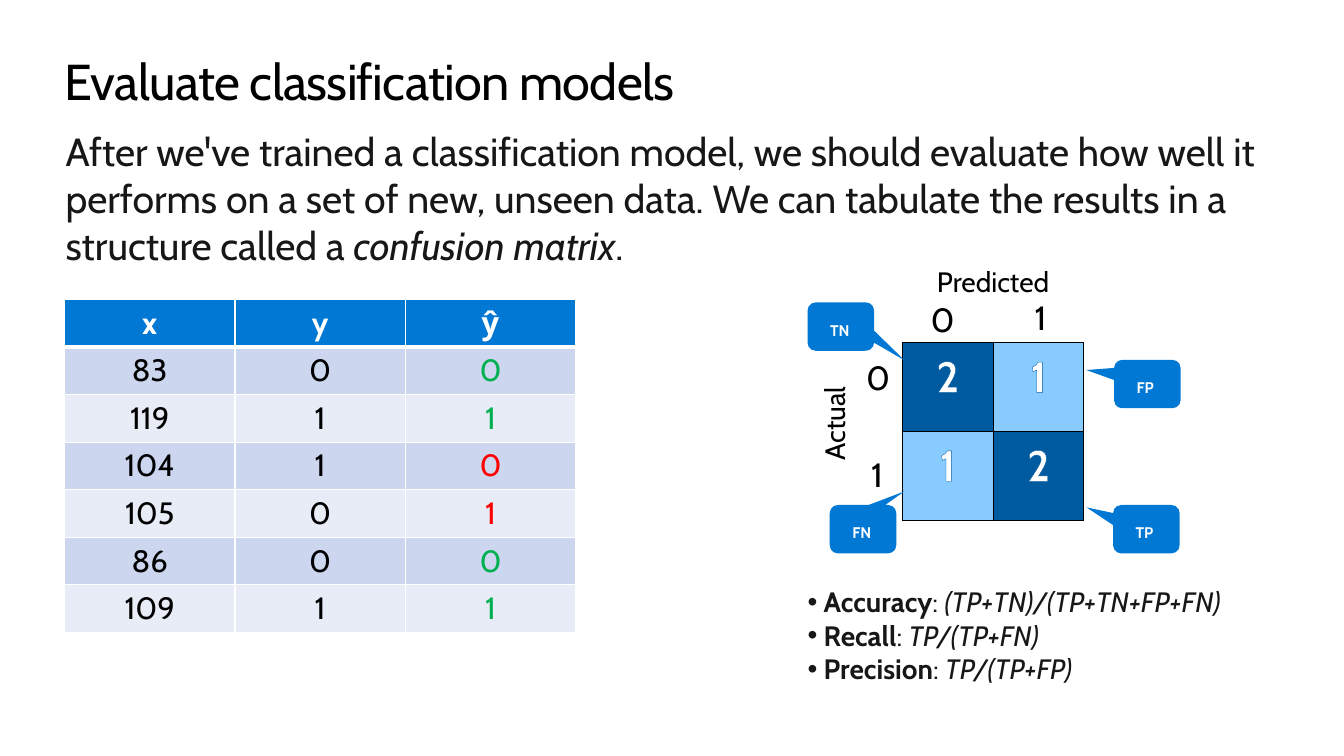
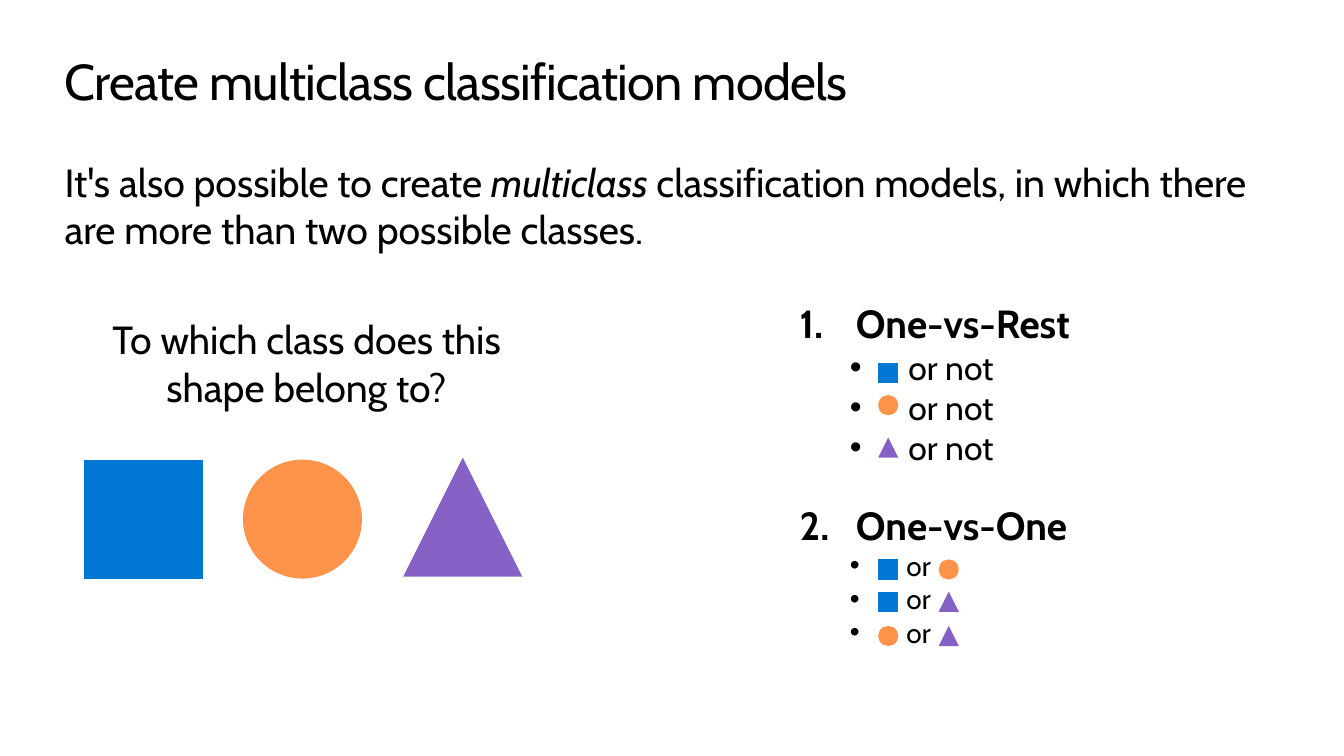
from lxml import etree
from pptx import Presentation
from pptx import util as u
from pptx.dml.color import RGBColor
from pptx.enum import shapes, text
from pptx.oxml import ns

FONT = "Cabin"
PX = 9144
COLORS = {
    "black": "000000", "ink": "171717", "white": "FFFFFF",
    "blue": "0078D4", "navy": "005A9F", "sky": "88CBFF",
    "orange": "FF9349", "purple": "8661C5",
    "right": "00B050", "wrong": "FF0000",
    "band_dark": "CCD6EF", "band_light": "E7ECF7",
}
SHAPE = shapes.MSO_SHAPE
CLASSES = {
    "square": (SHAPE.FLOWCHART_PROCESS, "blue"),
    "circle": (SHAPE.OVAL, "orange"),
    "triangle": (SHAPE.ISOSCELES_TRIANGLE, "purple"),
}
CENTER = text.PP_ALIGN.CENTER
LEFT = text.PP_ALIGN.LEFT


def px(value):
    return u.Emu(value * PX)


def rgb(name):
    return RGBColor.from_string(COLORS[name])


def child(parent, tag, **attributes):
    return etree.SubElement(parent, ns.qn(tag), attributes)


def line_color(line, color):
    child(child(line, "a:solidFill"), "a:srgbClr", val=COLORS[color])


def place(item, left, top, width, height):
    item.left, item.top = px(left), px(top)
    item.width, item.height = px(width), px(height)


def setup_frame(frame, inset_x=0, inset_y=0, anchor=text.MSO_ANCHOR.TOP):
    frame.word_wrap = True
    frame.auto_size = text.MSO_AUTO_SIZE.NONE
    frame.vertical_anchor = anchor
    frame.margin_left = frame.margin_right = px(inset_x)
    frame.margin_top = frame.margin_bottom = px(inset_y)


def add_run(paragraph, words, size, color="black", style=""):
    run = paragraph.add_run()
    run.text = words
    run.font.name, run.font.size = FONT, u.Pt(size)
    run.font.bold, run.font.italic = "b" in style, "i" in style
    run.font.color.rgb = rgb(color)
    return run


def format_paragraph(paragraph, align=LEFT, margin=0, hanging=0,
                     bullet=None, number=None, before=0):
    props = paragraph._p.get_or_add_pPr()
    props.set("marL", str(margin * PX))
    props.set("indent", str(-hanging * PX))
    if bullet:
        child(props, "a:buFont", typeface="Arial")
        child(props, "a:buChar", char=bullet)
    elif number:
        child(props, "a:buFont", typeface=FONT)
        child(props, "a:buAutoNum", type="arabicPeriod", startAt=str(number))
    else:
        child(props, "a:buNone")
    paragraph.alignment = align
    paragraph.space_before = u.Pt(before)


def next_paragraph(frame):
    first = frame.paragraphs[0]
    return frame.add_paragraph() if first.runs else first


def add_slide(deck, title, intro, intro_left, intro_top, intro_height, color):
    slide = deck.slides.add_slide(deck.slide_layouts[3])
    heading, body, points = slide.placeholders
    place(heading, 64, 50, 1205, 60)
    place(body, intro_left, intro_top, 1205, intro_height)
    for part in (heading, body, points):
        setup_frame(part.text_frame)
    line = heading.text_frame.paragraphs[0]
    format_paragraph(line)
    add_run(line, title, 36).font._element.set("spc", "-50")
    line = body.text_frame.paragraphs[0]
    format_paragraph(line)
    for words, style in intro:
        add_run(line, words, 28, color, style)
    return slide, points


def add_label(slide, words, left, top, width, height, size, rotation=0):
    label = slide.shapes.add_textbox(*map(px, (left, top, width, height)))
    label.rotation = rotation
    setup_frame(label.text_frame)
    line = label.text_frame.paragraphs[0]
    format_paragraph(line, CENTER)
    add_run(line, words, size)


def add_solid(slide, kind, color, left, top, width, height):
    solid = slide.shapes.add_shape(kind, *map(px, (left, top, width, height)))
    solid.shadow.inherit = False
    solid.fill.solid()
    solid.fill.fore_color.rgb = rgb(color)
    solid.line.fill.background()
    return solid


def add_class(slide, name, left, top, size):
    kind, color = CLASSES[name]
    add_solid(slide, kind, color, left, top, size, size)


def add_callout(slide, words, left, top, tip_x, tip_y):
    callout = add_solid(slide, SHAPE.ROUNDED_RECTANGULAR_CALLOUT, "blue",
                        left, top, 66, 48)
    callout.adjustments[0], callout.adjustments[1] = tip_x, tip_y
    setup_frame(callout.text_frame, 20, 16)
    line = callout.text_frame.paragraphs[0]
    line.alignment = LEFT
    add_run(line, words, 11, "white", "b")


def set_borders(cell, color, bottom=1):
    props = cell._tc.get_or_add_tcPr()
    for index, (side, width) in enumerate(
            (("L", 1), ("R", 1), ("T", 1), ("B", bottom))):
        border = etree.Element(ns.qn("a:ln" + side), w=str(u.Pt(width)))
        line_color(border, color)
        props.insert(index, border)


def add_grid(slide, rows, left, top, column, row_height):
    count, wide = len(rows), len(rows[0])
    grid = slide.shapes.add_table(
        count, wide, px(left), px(top),
        px(column * wide), px(row_height * count)).table
    for part in grid.columns:
        part.width = px(column)
    for part in grid.rows:
        part.height = px(row_height)
    for r, row in enumerate(rows):
        for c, (words, size, color, style, fill) in enumerate(row):
            cell = grid.cell(r, c)
            cell.fill.solid()
            cell.fill.fore_color.rgb = rgb(fill)
            line = cell.text_frame.paragraphs[0]
            line.alignment = CENTER
            add_run(line, words, size, color, style)
    return grid


def add_results(slide):
    results = [(83, 0, 0), (119, 1, 1), (104, 1, 0),
               (105, 0, 1), (86, 0, 0), (109, 1, 1)]
    rows = [[(name, 22, "white", "b", "blue") for name in ("x", "y", "ŷ")]]
    for index, (x, actual, predicted) in enumerate(results):
        band = "band_light" if index % 2 else "band_dark"
        verdict = "right" if actual == predicted else "wrong"
        rows.append([(str(value), 22, color, "", band) for value, color in
                     ((x, "black"), (actual, "black"), (predicted, verdict))])
    grid = add_grid(slide, rows, 64, 297, 169, 47)
    for r in range(len(rows)):
        for cell in grid.rows[r].cells:
            set_borders(cell, "white", 1 if r else 3)


def add_matrix(slide):
    correct = ("2", 31, "white", "b", "navy")
    mistaken = ("1", 31, "white", "b", "sky")
    grid = add_grid(slide, [[correct, mistaken], [mistaken, correct]],
                    895, 340, 90, 88)
    for cell in grid.iter_cells():
        set_borders(cell, "black")
        cell.margin_left = cell.margin_right = px(12)
        cell.margin_top = cell.margin_bottom = px(8)
        outline = etree.Element(ns.qn("a:ln"), w=str(u.Pt(0.75)))
        line_color(outline, "navy")
        cell.text_frame.paragraphs[0].runs[0].font._element.insert(0, outline)
    for words, left, top in (("0", 892, 297), ("1", 989, 295),
                             ("0", 828, 354), ("1", 827, 450)):
        add_label(slide, words, left, top, 86, 40, 24)
    add_label(slide, "Predicted", 884, 262, 202, 34, 20)
    add_label(slide, "Actual", 730, 403, 195, 34, 20, 270)
    for callout in (("TN", 801, 300, 0.96, 0.7), ("TP", 1104, 501, -0.9, -0.45),
                    ("FN", 823, 501, 0.62, -0.78), ("FP", 1105, 357, -0.92, -0.29)):
        add_callout(slide, *callout)


def build_evaluation(deck):
    intro = [("After we've trained a classification model, we should evaluate "
              "how well it performs on a set of new, unseen data. We can "
              "tabulate the results in a structure called a ", ""),
             ("confusion matrix", "i"), (".", "")]
    slide, metrics = add_slide(deck, "Evaluate classification models",
                               intro, 65, 126, 141, "ink")
    add_results(slide)
    add_matrix(slide)
    place(metrics, 801, 580, 470, 101)
    for name, formula in (("Accuracy", "(TP+TN)/(TP+TN+FP+FN)"),
                          ("Recall", "TP/(TP+FN)"),
                          ("Precision", "TP/(TP+FP)")):
        line = next_paragraph(metrics.text_frame)
        format_paragraph(line, margin=16, hanging=16, bullet="•")
        for words, style in ((name, "b"), (": ", ""), (formula, "i")):
            add_run(line, words, 20, "ink", style)


def add_strategy(frame, number, name, choice, size, margin, before):
    line = next_paragraph(frame)
    format_paragraph(line, margin=56, hanging=56, number=number, before=before)
    add_run(line, name, 28, style="b")
    for _ in CLASSES:
        line = frame.add_paragraph()
        line.level = 1
        format_paragraph(line, margin=margin, hanging=margin - 50, bullet="•")
        add_run(line, choice, size)


def build_multiclass(deck):
    intro = [("It's also possible to create ", ""), ("multiclass", "i"),
             (" classification models, in which there are more than two "
              "possible classes.", "")]
    slide, strategies = add_slide(deck, "Create multiclass classification models",
                                  intro, 64, 157, 93, "black")
    question = slide.shapes.add_textbox(*map(px, (63, 308, 453, 104)))
    setup_frame(question.text_frame, 10, 5, text.MSO_ANCHOR.MIDDLE)
    line = question.text_frame.paragraphs[0]
    format_paragraph(line, CENTER, margin=29)
    add_run(line, "To which class does this shape belong to?", 28)
    for name, left, top in (("square", 83, 456), ("circle", 241, 456),
                            ("triangle", 400, 454)):
        add_class(slide, name, left, top, 118)

    place(strategies, 793, 297, 441, 386)
    add_strategy(strategies.text_frame, 1, "One-vs-Rest", "or not", 24, 108, 0)
    add_strategy(strategies.text_frame, 2, "One-vs-One", "or", 20, 106, 24)
    for name, top in (("square", 360), ("circle", 392), ("triangle", 434)):
        add_class(slide, name, 871, top, 20)
    for first, second, top in (("square", "circle", 555),
                               ("square", "triangle", 587),
                               ("circle", "triangle", 621)):
        add_class(slide, first, 871, top, 20)
        add_class(slide, second, 931, top, 20)


def main():
    deck = Presentation()
    deck.slide_width, deck.slide_height = px(1333), px(750)
    build_evaluation(deck)
    build_multiclass(deck)
    deck.save("out.pptx")


if __name__ == "__main__":
    main()
